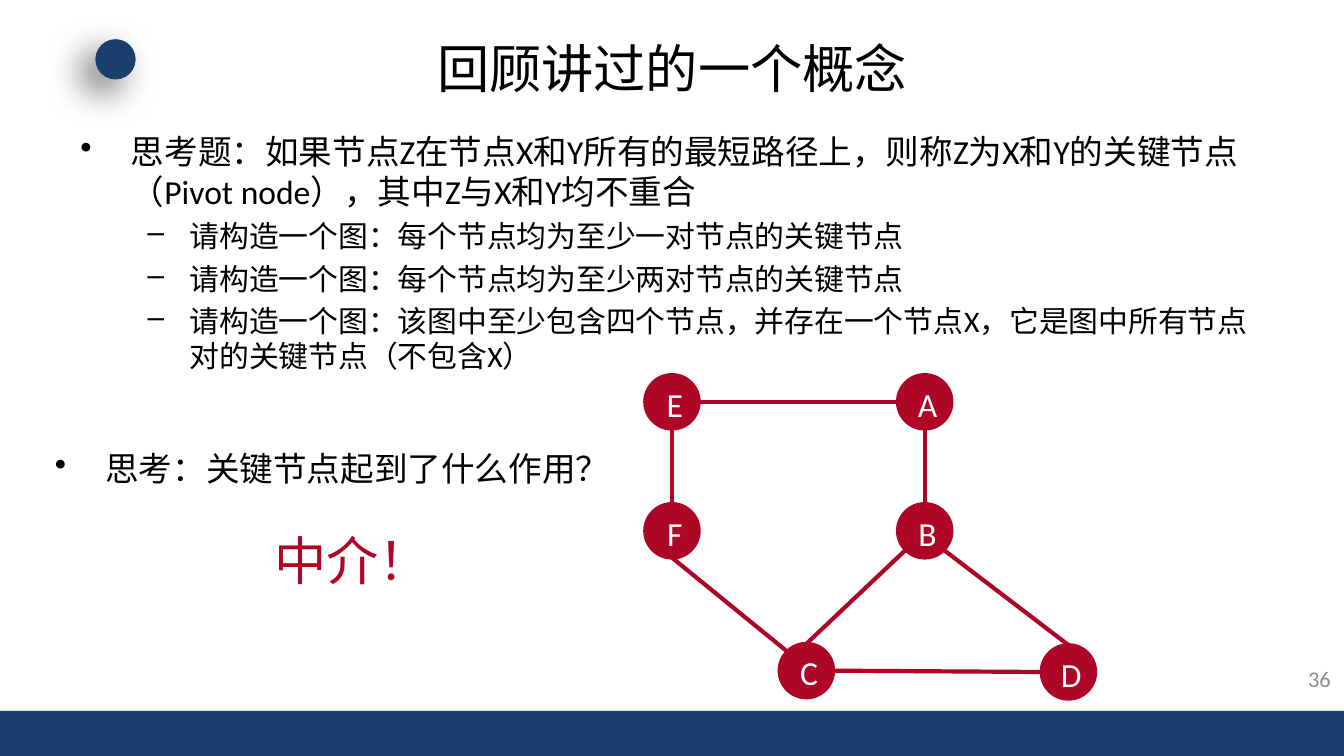
from dataclasses import dataclass
from math import cos, radians, sin

from lxml.etree import SubElement
from pptx import Presentation
from pptx.dml.color import RGBColor
from pptx.enum.shapes import MSO_CONNECTOR, MSO_SHAPE
from pptx.enum.text import MSO_ANCHOR, PP_ALIGN
from pptx.oxml.ns import qn
from pptx.util import Pt


@dataclass(frozen=True)
class Theme:
    """Colours, fonts and type sizes of the slide."""
    navy: str = "1A3F6C"
    red: str = "AE0627"
    black: str = "000000"
    white: str = "FFFFFF"
    grey: str = "8C8C8C"
    latin: str = "Calibri"
    cjk: str = "Noto Sans CJK SC"
    title: int = 28
    body: int = 18
    sub: int = 16
    number: int = 12


T = Theme()
ANGLES = {"right": 0, "bottom right": 45, "bottom": 90, "left": 180,
          "top left": 225, "top": 270}
NODES = {"E": (14.4, 14.4), "A": (149.8, 14.4), "F": (14.4, 83.5),
         "B": (149.8, 83.5), "C": (86.4, 158.4), "D": (226.8, 159.1)}
EDGES = [("A", "left", "E", "right"), ("F", "top", "E", "bottom"),
         ("B", "top", "A", "bottom"), ("B", "bottom left", "C", "top"),
         ("B", "bottom right", "D", "top"), ("C", "right", "D", "left"),
         ("C", "top left", "F", "bottom")]
ANGLES["bottom left"] = 135
RADIUS = 14.4


def write(tf, text, size=T.body, color=T.black, align=PP_ALIGN.LEFT,
          bullet=None, indent=(0, 0), tight=False, level=0):
    """Add one formatted paragraph to a text frame."""
    first = not tf.paragraphs[0].runs
    p = tf.paragraphs[0] if first else tf.add_paragraph()
    p.alignment, p.level = align, level
    pPr = p._p.get_or_add_pPr()
    pPr.set("marL", str(Pt(indent[0])))
    pPr.set("indent", str(Pt(indent[1])))
    if bullet:
        SubElement(pPr, qn("a:buChar")).set("char", bullet)
    if tight:
        p.line_spacing = Pt(round(size * 1.19, 1))
    p.space_before = Pt(0 if first else 3.7)
    r = p.add_run()
    r.text = text
    r.font.size = Pt(size)
    r.font.name = T.latin
    r.font.color.rgb = RGBColor.from_string(color)
    SubElement(r._r.get_or_add_rPr(), qn("a:ea")).set("typeface", T.cjk)


def add_text(s, box, anchor=MSO_ANCHOR.TOP, top=5.6):
    """Add a wrapping text box and return its frame."""
    tf = s.shapes.add_textbox(*map(Pt, box)).text_frame
    tf.word_wrap = True
    tf.vertical_anchor = anchor
    tf.margin_top = Pt(top)
    return tf


def add_solid(s, kind, box, color):
    """Add a plain filled shape."""
    sp = s.shapes.add_shape(kind, *map(Pt, box))
    sp.fill.solid()
    sp.fill.fore_color.rgb = RGBColor.from_string(color)
    sp.line.fill.background()
    sp.shadow.inherit = False
    return sp


def add_dot(s, box):
    """Place the corner dot with its soft shadow."""
    sp = add_solid(s, MSO_SHAPE.OVAL, box, T.navy)
    effects = sp._element.spPr.find(qn("a:effectLst"))
    shadow = SubElement(effects, qn("a:outerShdw"), blurRad=str(Pt(20)),
                        dist=str(Pt(10)), dir="8100000", rotWithShape="0")
    clr = SubElement(shadow, qn("a:srgbClr"), val=T.black)
    SubElement(clr, qn("a:alpha"), val="60000")


def add_title(s, box):
    """Move the title placeholder into its box and fill it."""
    sp = s.shapes.title
    sp.left, sp.top, sp.width, sp.height = map(Pt, box)
    sp.text_frame.vertical_anchor = MSO_ANCHOR.MIDDLE
    write(sp.text_frame, "回顾讲过的一个概念", size=T.title,
          align=PP_ALIGN.CENTER)


def add_questions(s, box):
    """Place the main question and its three exercises."""
    tf = add_text(s, box)
    write(tf, "思考题：如果节点Z在节点X和Y所有的最短路径上，则称Z为X和Y的"
          "关键节点（Pivot node），其中Z与X和Y均不重合",
          bullet="•", indent=(27, -27), tight=True)
    for text in ("每个节点均为至少一对节点的关键节点",
                 "每个节点均为至少两对节点的关键节点",
                 "该图中至少包含四个节点，并存在一个节点X，"
                 "它是图中所有节点对的关键节点（不包含X）"):
        write(tf, "请构造一个图：" + text, size=T.sub, bullet="–",
              indent=(58.5, -22.5), tight=True, level=1)


def add_answer(s, box):
    """Place the follow-up question with its answer below."""
    x, y, w, h = box
    write(add_text(s, (x, y, w, 28.8)), "思考：关键节点起到了什么作用？",
          bullet="•", indent=(27, -27), tight=True)
    write(add_text(s, (x + 10, y + h - 41, w - 46.8, 41)), "中介！",
          size=T.title, color=T.red, align=PP_ALIGN.CENTER, tight=True)


def add_graph(s, box):
    """Draw the six-node graph from the corner of its box."""
    x, y = box[:2]

    def site(name, side):
        """Return a point on a node's rim."""
        cx, cy = NODES[name]
        a = radians(ANGLES[side])
        return (Pt(x + cx + RADIUS * cos(a)), Pt(y + cy + RADIUS * sin(a)))

    for start, side, end, end_side in EDGES:
        c = s.shapes.add_connector(MSO_CONNECTOR.STRAIGHT,
                                   *site(start, side), *site(end, end_side))
        c.line.color.rgb = RGBColor.from_string(T.red)
        c.line.width = Pt(2.25)
        SubElement(c._element.spPr, qn("a:effectLst"))
    for name, (cx, cy) in NODES.items():
        sp = add_solid(s, MSO_SHAPE.OVAL, (x + cx - RADIUS, y + cy - RADIUS,
                                          2 * RADIUS, 2 * RADIUS), T.red)
        sp.line.color.rgb = RGBColor.from_string(T.red)
        sp.line.width = Pt(2)
        tf = sp.text_frame
        tf.margin_left, tf.margin_top = Pt(3), Pt(2)
        tf.margin_right = tf.margin_bottom = 0
        tf.vertical_anchor = MSO_ANCHOR.MIDDLE
        write(tf, name, color=T.white, align=PP_ALIGN.CENTER)


def main():
    """Build the slide and save it."""
    prs = Presentation()
    prs.slide_width, prs.slide_height = Pt(720), Pt(405)
    s = prs.slides.add_slide(prs.slide_layouts[5])
    add_solid(s, MSO_SHAPE.RECTANGLE, (0, 380.9, 720, 24.1), T.navy)
    add_dot(s, (51.1, 21, 21.6, 21.6))
    add_title(s, (36, 16.6, 648, 39.6))
    add_questions(s, (36, 64.8, 648, 151.2))
    add_graph(s, (345.6, 200.9, 241.2, 173.5))
    add_answer(s, (22.3, 234.7, 360, 84.2))
    write(add_text(s, (687.6, 352.8, 32.4, 21.6), MSO_ANCHOR.MIDDLE, 3.6),
          "36", size=T.number, color=T.grey, align=PP_ALIGN.RIGHT)
    prs.save("out.pptx")


if __name__ == "__main__":
    main()
